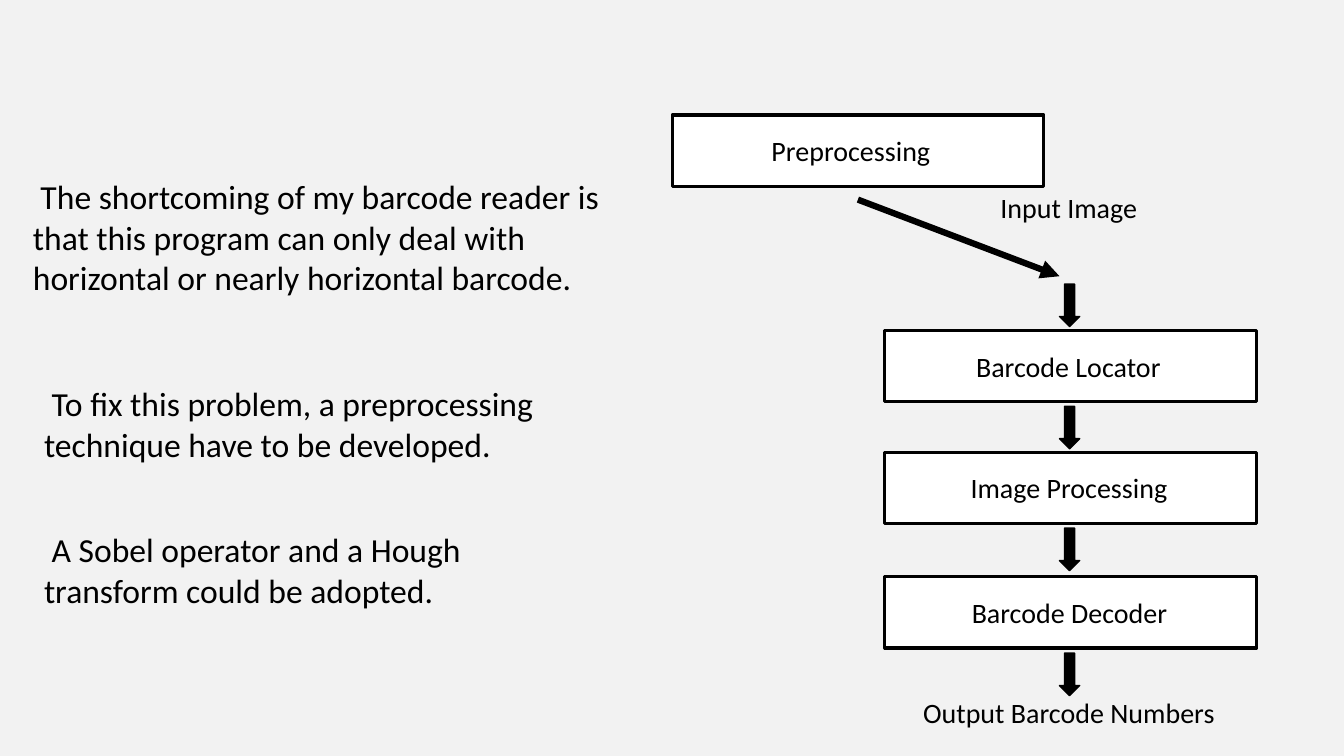
from lxml import etree
from pptx import Presentation
from pptx.dml.color import RGBColor
from pptx.enum.shapes import MSO_CONNECTOR, MSO_SHAPE
from pptx.enum.text import MSO_AUTO_SIZE, PP_ALIGN
from pptx.oxml.ns import qn
from pptx.util import Cm, Pt

COLORS = {"background": "F2F2F2", "box": "FFFFFF", "ink": "000000"}
BOX_W, BOX_H = 9.37, 1.8
ARROW_W, ARROW_H = 0.51, 1.07
LABEL_H = 1.12
LABEL_DROP = 0.34  # from the top of a box to the top of its label
FLOW_X, ARROW_X = 22.3, 26.7

# name, box left, box top, label left, label width
STEPS = [
    ("Preprocessing", 16.94, 2.9, 18.92, 5.05),
    ("Barcode Locator", FLOW_X, 8.33, 23.8, 6.25),
    ("Image Processing", FLOW_X, 11.4, 22.61, 8.66),
    ("Barcode Decoder", FLOW_X, 14.53, 23.27, 7.37),
]
ARROW_TOPS = [7.16, 10.24, 13.31, 16.46]

# text, left, top, width, height
NOTES = [
    (" The shortcoming of my barcode reader is that this program can only "
     "deal with horizontal or nearly horizontal barcode.", 0.58, 4.32, 16.36, 3.33),
    (" To fix this problem, a preprocessing technique have to be developed.",
     0.86, 9.53, 14.4, 2.31),
    (" A Sobel operator and a Hough transform could be adopted.",
     0.86, 13.21, 14.12, 2.31),
]


def rgb(name):
    return RGBColor.from_string(COLORS[name])


def add_text(s, text, x, y, w, h, size=20, align=PP_ALIGN.CENTER):
    sp = s.shapes.add_textbox(Cm(x), Cm(y), Cm(w), Cm(h))
    tf = sp.text_frame
    tf.word_wrap = True
    tf.auto_size = MSO_AUTO_SIZE.SHAPE_TO_FIT_TEXT
    p = tf.paragraphs[0]
    p.alignment = align
    r = p.add_run()
    r.text = text
    r.font.name = "Calibri"
    r.font.size = Pt(size)
    r.font.color.rgb = rgb("ink")


def add_block(s, kind, x, y, w, h, fill, line_width):
    sp = s.shapes.add_shape(kind, Cm(x), Cm(y), Cm(w), Cm(h))
    sp.shadow.inherit = False
    sp.fill.solid()
    sp.fill.fore_color.rgb = rgb(fill)
    sp.line.color.rgb = rgb("ink")
    sp.line.width = Pt(line_width)


def add_step(s, name, x, y, label_x, label_w):
    add_block(s, MSO_SHAPE.RECTANGLE, x, y, BOX_W, BOX_H, "box", 2.25)
    add_text(s, name, label_x, y + LABEL_DROP, label_w, LABEL_H)


def add_arrow_line(s, x1, y1, x2, y2):
    line = s.shapes.add_connector(MSO_CONNECTOR.STRAIGHT, Cm(x1), Cm(y1), Cm(x2), Cm(y2))
    line.line.color.rgb = rgb("ink")
    line.line.width = Pt(4.5)
    etree.SubElement(line.line._get_or_add_ln(), qn("a:tailEnd"), type="triangle")
    etree.SubElement(line._element.spPr, qn("a:effectLst"))


def main():
    prs = Presentation()
    prs.slide_width, prs.slide_height = Cm(33.87), Cm(19.05)
    s = prs.slides.add_slide(prs.slide_layouts[6])
    s.background.fill.solid()
    s.background.fill.fore_color.rgb = rgb("background")

    for step in STEPS:
        add_step(s, *step)
    for y in ARROW_TOPS:
        add_block(s, MSO_SHAPE.DOWN_ARROW, ARROW_X, y, ARROW_W, ARROW_H, "ink", 1)
    add_arrow_line(s, 21.62, 5.03, 26.7, 6.96)
    add_text(s, "Input Image", 24, 4.67, 5.87, LABEL_H)
    add_text(s, "Output Barcode Numbers", 22.76, 17.4, 8.36, LABEL_H)
    for note in NOTES:
        add_text(s, *note, size=24, align=PP_ALIGN.LEFT)

    prs.save("out.pptx")


if __name__ == "__main__":
    main()
